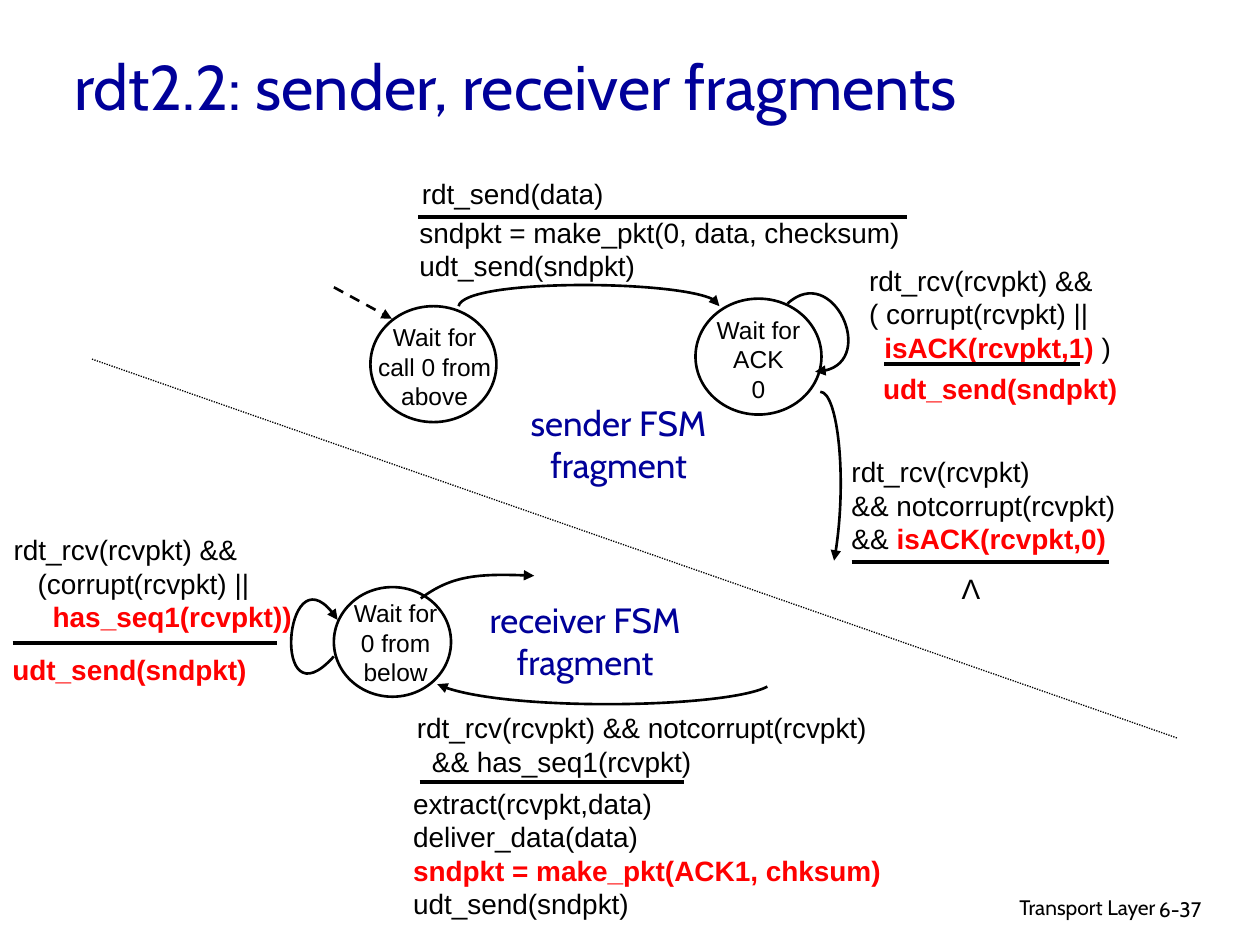
from lxml import etree
from pptx import Presentation
from pptx.dml.color import RGBColor
from pptx.enum.dml import MSO_LINE
from pptx.enum.shapes import MSO_CONNECTOR, MSO_SHAPE
from pptx.enum.text import MSO_ANCHOR, PP_ALIGN
from pptx.oxml.ns import qn
from pptx.util import Inches, Pt

BLACK = RGBColor(0x00, 0x00, 0x00)
WHITE = RGBColor(0xFF, 0xFF, 0xFF)
NAVY = RGBColor(0x00, 0x00, 0x99)
RED = RGBColor(0xFF, 0x00, 0x00)
LEFT, CENTER, RIGHT = PP_ALIGN.LEFT, PP_ALIGN.CENTER, PP_ALIGN.RIGHT
TOP, MIDDLE = MSO_ANCHOR.TOP, MSO_ANCHOR.MIDDLE
OVAL, STRAIGHT = MSO_SHAPE.OVAL, MSO_CONNECTOR.STRAIGHT
DASH, DOTS = MSO_LINE.DASH, MSO_LINE.ROUND_DOT
SANS, ROUND = "Arial", "Cabin"
THIN, PEN, BAR = 0.75, 1.5, 2.25


class Page:
    """The slide and the style of its parts."""

    def __init__(self, slide):
        self.shapes = slide.shapes

    def text(self, x, y, w, h, lines, size=16, font=SANS, color=BLACK,
             align=LEFT, anchor=TOP, indents=(), wrap=True):
        """Each line is a string or a list of runs; (text, RED) is a bold run."""
        box = self.shapes.add_textbox(Inches(x), Inches(y), Inches(w), Inches(h))
        frame = box.text_frame
        frame.word_wrap = wrap
        frame.vertical_anchor = anchor
        for i, line in enumerate(lines):
            para = frame.paragraphs[0] if i == 0 else frame.add_paragraph()
            para.alignment = align
            if i < len(indents):
                para._p.get_or_add_pPr().set("marL", str(Inches(indents[i])))
            for part in [line] if isinstance(line, str) else line:
                words, tint = (part, color) if isinstance(part, str) else part
                run = para.add_run()
                run.text = words
                run.font.name = font
                run.font.size = Pt(size)
                run.font.bold = tint == RED
                run.font.color.rgb = tint

    def label(self, x, y, w, lines):
        self.text(x, y, w, 0.77, lines, 20, ROUND, NAVY, CENTER, wrap=False)

    def state(self, x, y, w, h, box, lines):
        """A circle with its name in a box of its own."""
        oval = self.shapes.add_shape(OVAL, Inches(x), Inches(y), Inches(w), Inches(h))
        oval.shadow.inherit = False
        oval.fill.solid()
        oval.fill.fore_color.rgb = WHITE
        self.ink(oval, PEN)
        self.text(*box, lines, 14, align=CENTER)

    def ink(self, shape, width, dash=None, arrow=None):
        shape.line.color.rgb = BLACK
        shape.line.width = Pt(width)
        if dash:
            shape.line.dash_style = dash
        if arrow:
            ln = shape.line._get_or_add_ln()
            etree.SubElement(ln, qn("a:" + arrow)).set("type", "triangle")

    def line(self, x1, y1, x2, y2, width=BAR, dash=None, arrow=None):
        rule = self.shapes.add_connector(
            STRAIGHT, Inches(x1), Inches(y1), Inches(x2), Inches(y2))
        self.ink(rule, width, dash, arrow)
        etree.SubElement(rule._element.spPr, qn("a:effectLst"))

    def curve(self, start, *rest):
        """An arrow along a cubic curve: start, two handles, end."""
        pen = self.shapes.build_freeform(Inches(start[0]), Inches(start[1]))
        pen.add_line_segments([(Inches(x), Inches(y)) for x, y in rest], close=False)
        shape = pen.convert_to_shape()
        shape.shadow.inherit = False
        shape.fill.background()
        self.ink(shape, PEN, arrow="tailEnd")
        # Turn the three segments into one curve
        track = next(shape._element.iter(qn("a:path")))
        bend = etree.SubElement(track, qn("a:cubicBezTo"))
        for step in track.findall(qn("a:lnTo")):
            bend.append(step[0])
            track.remove(step)


def main():
    deck = Presentation()
    deck.slide_width, deck.slide_height = Inches(10), Inches(7.5)
    page = Page(deck.slides.add_slide(deck.slide_layouts[6]))

    # Title
    page.text(0.49, 0.19, 8.5, 0.97, ["rdt2.2: sender, receiver fragments"],
              36, ROUND, NAVY, anchor=MIDDLE)

    # Sender: states
    page.state(2.94, 2.43, 1, 0.92, (2.87, 2.51, 1.16, 0.67),
               ["Wait for call 0 from above"])
    page.state(5.52, 2.37, 1, 0.92, (5.44, 2.45, 1.16, 0.67),
               ["Wait for ACK", "0"])
    page.label(4.1, 3.14, 1.62, ["sender FSM", "fragment"])

    # Sender: arrows
    page.line(2.65, 2.28, 3.11, 2.53, PEN, DASH, "tailEnd")
    page.curve((3.64, 2.43), (3.68, 2.21), (5.71, 2.22), (5.71, 2.43))
    page.curve((6.25, 2.41), (6.61, 2.08), (7, 2.94), (6.47, 2.95))
    page.curve((6.51, 3.11), (6.65, 3.11), (6.73, 3.85), (6.62, 4.45))

    # Sender: events and actions
    page.text(3.25, 1.35, 1.89, 0.31, ["rdt_send(data)"])
    page.line(3.32, 1.72, 7.2, 1.72)
    page.text(3.23, 1.66, 4.07, 0.44,
              ["sndpkt = make_pkt(0, data, checksum)", "udt_send(sndpkt)"])
    page.text(6.8, 2.04, 2.97, 0.62,
              ["rdt_rcv(rcvpkt) &&", "( corrupt(rcvpkt) ||",
               [("isACK(rcvpkt,1)", RED), " )"]], indents=(0, 0, 0.12))
    page.line(7.02, 2.89, 8.57, 2.89)
    page.text(6.91, 2.9, 2.32, 0.44, [[("udt_send(sndpkt)", RED)]])
    page.text(6.66, 3.56, 2.64, 0.62,
              ["rdt_rcv(rcvpkt)", "&& notcorrupt(rcvpkt)",
               ["&& ", ("isACK(rcvpkt,0)", RED)]])
    page.line(6.76, 4.46, 8.8, 4.46)
    page.text(7.5, 4.49, 0.41, 0.37, ["Λ"], align=CENTER)

    # Border between sender and receiver
    page.line(0.73, 2.85, 9.35, 5.86, THIN, DOTS)

    # Receiver: state
    page.state(2.65, 4.66, 0.93, 0.87, (2.7, 4.7, 0.88, 0.67),
               ["Wait for", "0 from below"])
    page.label(3.76, 4.7, 1.77, ["receiver FSM", "fragment"])

    # Receiver: arrows
    page.curve((3.34, 4.75), (3.58, 4.57), (3.82, 4.55), (4.24, 4.57))
    page.curve((6.09, 5.45), (5.76, 5.62), (3.93, 5.65), (3.47, 5.43))
    page.curve((2.65, 5.21), (2.15, 5.77), (2.26, 4.28), (2.68, 4.92))

    # Receiver: events and actions
    page.text(0.01, 4.18, 2.58, 0.7,
              ["rdt_rcv(rcvpkt) &&", "(corrupt(rcvpkt) ||",
               [("has_seq1(rcvpkt))", RED)]], indents=(0, 0.19, 0.31))
    page.line(0.1, 5.1, 2.2, 5.1)
    page.text(0, 5.13, 2.23, 0.45, [[("udt_send(sndpkt)", RED)]])
    page.text(3.21, 5.59, 4.31, 0.62,
              ["rdt_rcv(rcvpkt) && notcorrupt(rcvpkt)", "&& has_seq1(rcvpkt)"],
              indents=(0, 0.12))
    page.line(3.33, 6.21, 5.43, 6.21)
    page.text(3.18, 6.19, 4.57, 0.76,
              ["extract(rcvpkt,data)", "deliver_data(data)",
               [("sndpkt = make_pkt(ACK1, chksum)", RED)], "udt_send(sndpkt)"])

    # Footer
    page.text(6.1, 7.05, 3.17, 0.31, ["Transport Layer"], 12, ROUND, align=RIGHT)
    page.text(9.1, 7.07, 0.74, 0.3, ["6-37"], 12, ROUND)

    deck.save("out.pptx")


if __name__ == "__main__":
    main()
